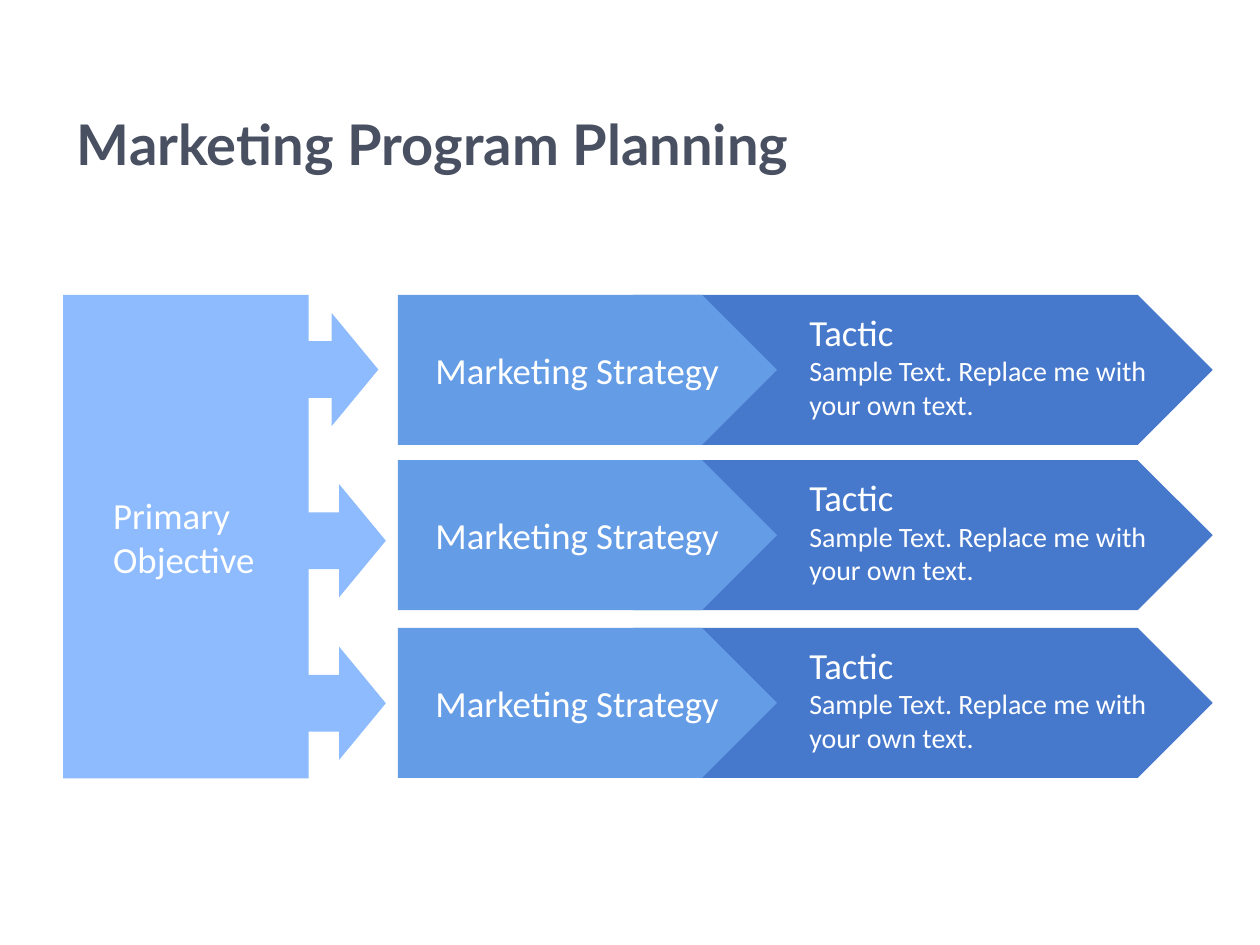
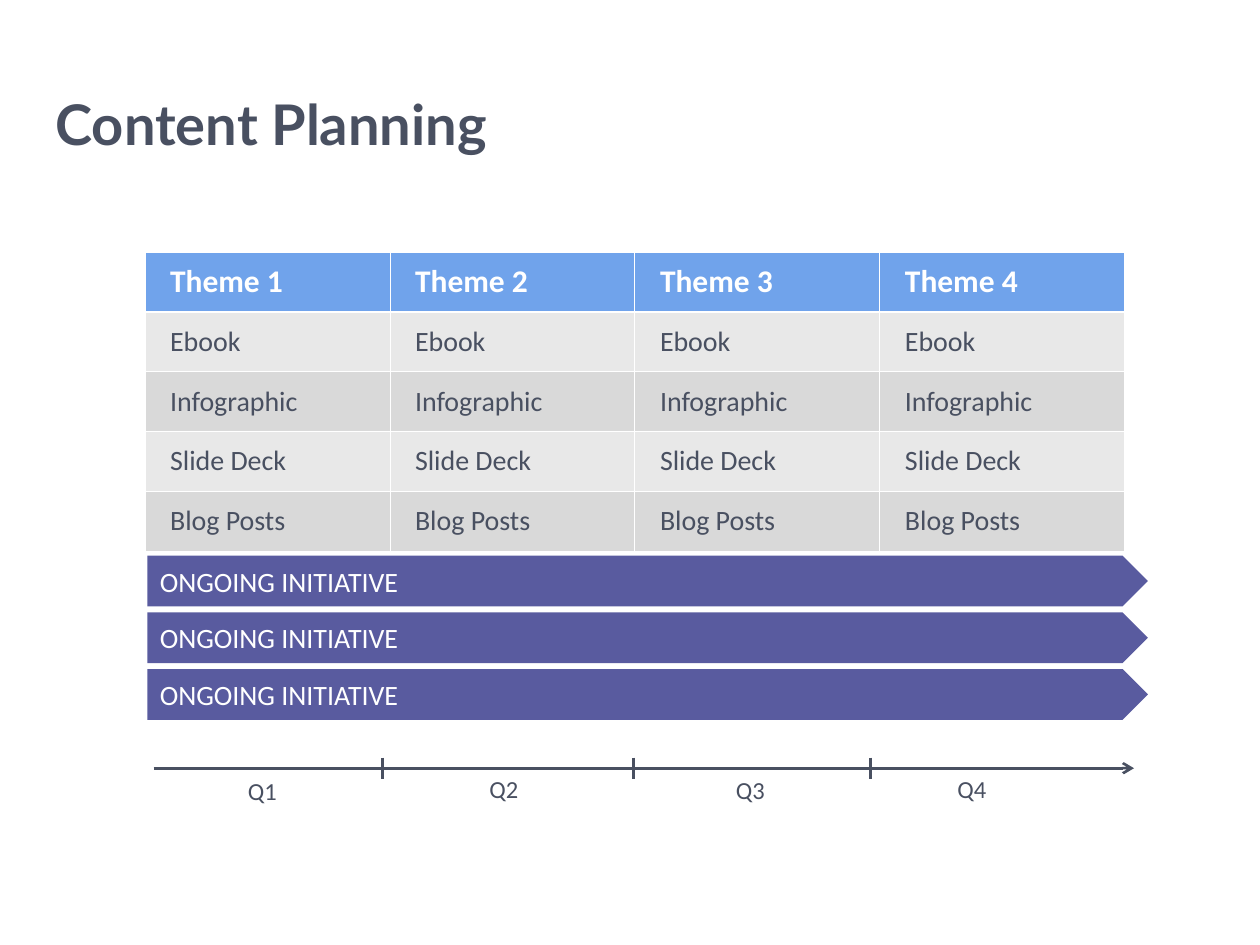
from dataclasses import dataclass
from lxml.etree import SubElement
from pptx import Presentation
from pptx.dml.color import RGBColor
from pptx.enum.shapes import MSO_CONNECTOR, MSO_SHAPE
from pptx.enum.text import MSO_ANCHOR, MSO_AUTO_SIZE, PP_ALIGN
from pptx.oxml.ns import qn
from pptx.util import Pt

OBJECTIVE = "Primary Objective"
PROGRAMS = [
    ("Marketing Strategy", "Tactic", "Sample Text. Replace me with your own text."),
] * 3
PROGRAM_TOPS = [168.5, 263, 358.8]
ARROW_SPOTS = [(162.7, 178.8), (167, 276.6), (167, 369.5)]

THEMES = ["Theme 1", "Theme 2", "Theme 3", "Theme 4"]
CONTENT_TYPES = ["Ebook", "Infographic", "Slide Deck", "Blog Posts"]
INITIATIVES = ["ONGOING INITIATIVE"] * 3
QUARTERS = [("Q1", 134.6, 440), ("Q2", 272.6, 438.5), ("Q3", 413.4, 439.5), ("Q4", 540, 438.5)]
QUARTER_ENDS = [218.5, 362, 497.5]


@dataclass(frozen=True)
class Theme:
    white: str = "FFFFFF"
    ink: str = "495061"
    objective: str = "8DBBFE"
    strategy: str = "649CE6"
    tactic: str = "4678CC"
    header: str = "70A3EB"
    bands: tuple = ("E8E8E8", "D9D9D9")
    initiative: str = "595B9F"
    title_font: str = "Lato"
    body_font: str = "Calibri"
    title_size: int = 32
    heading_size: int = 21
    column_size: int = 18
    body_size: int = 16
    quarter_size: int = 14


T = Theme()


def rgb(color):
    return RGBColor.from_string(color)


def style(p, size, color=T.white, font=T.body_font, bold=False, indent=0):
    p.alignment = PP_ALIGN.LEFT
    if indent:
        p._p.get_or_add_pPr().set("marL", str(Pt(indent)))
    p.font.name, p.font.size, p.font.bold = font, Pt(size), bold
    p.font.color.rgb = rgb(color)


def add_slide(prs, title, left, top):
    s = prs.slides.add_slide(prs.slide_layouts[5])
    sp = s.shapes.title
    sp.left, sp.top, sp.width, sp.height = Pt(left), Pt(top), Pt(678), Pt(54)
    tf = sp.text_frame
    tf.text = title
    tf.vertical_anchor = MSO_ANCHOR.TOP
    tf.auto_size = MSO_AUTO_SIZE.NONE
    style(tf.paragraphs[0], T.title_size, T.ink, T.title_font, True)
    return s


def add_block(s, kind, left, top, width, height, color, lines=(), indent=0,
              anchor=MSO_ANCHOR.MIDDLE):
    sp = s.shapes.add_shape(kind, Pt(left), Pt(top), Pt(width), Pt(height))
    sp.shadow.inherit = False
    sp.fill.solid()
    sp.fill.fore_color.rgb = rgb(color)
    sp.line.fill.background()
    tf = sp.text_frame
    tf.word_wrap = True
    tf.vertical_anchor = anchor
    for i, (text, size) in enumerate(lines):
        p = tf.add_paragraph() if i else tf.paragraphs[0]
        p.text = text
        style(p, size, indent=indent)
    return sp


def add_line(s, x1, y1, x2, y2, arrow=False):
    line = s.shapes.add_connector(MSO_CONNECTOR.STRAIGHT, Pt(x1), Pt(y1), Pt(x2), Pt(y2))
    line.line.color.rgb = rgb(T.ink)
    line.line.width = Pt(1.5)
    if arrow:
        SubElement(line.line._get_or_add_ln(), qn("a:tailEnd"), type="arrow")
    SubElement(line._element.spPr, qn("a:effectLst"))


def set_borders(cell, **widths):
    tcPr = cell._tc.get_or_add_tcPr()
    for i, side in enumerate("LRTB"):
        ln = SubElement(tcPr, qn(f"a:ln{side}"), w=str(Pt(widths.get(side, 0.45))))
        fill = SubElement(ln, qn("a:solidFill"))
        SubElement(fill, qn("a:srgbClr"), val=T.white)
        tcPr.insert(i, ln)


def build_program(prs):
    s = add_slide(prs, "Marketing Program Planning", 36.7, 59)
    left, height = 227.3, 85.7
    for (_, tactic, detail), top in zip(PROGRAMS, PROGRAM_TOPS):
        sp = add_block(s, MSO_SHAPE.PENTAGON, left + 134.5, top, 331.2, height, T.tactic,
                       [(tactic, T.heading_size), (detail, T.body_size)], 93.6, MSO_ANCHOR.TOP)
        sp.text_frame.paragraphs[0].line_spacing = 1.2
    for (strategy, _, _), top in zip(PROGRAMS, PROGRAM_TOPS):
        add_block(s, MSO_SHAPE.PENTAGON, left, top, 216.7, height, T.strategy,
                  [(strategy, T.heading_size)], 14.4)
    add_block(s, MSO_SHAPE.RECTANGLE, 36, PROGRAM_TOPS[0], 140.4, 276.3, T.objective,
              [(OBJECTIVE, T.heading_size)], 21.6)
    for x, y in ARROW_SPOTS:
        add_block(s, MSO_SHAPE.RIGHT_ARROW, x, y, 53.5, 64.8, T.objective)


def build_content(prs):
    s = add_slide(prs, "Content Planning", 24.5, 47.5)
    rows = [THEMES] + [[kind] * len(THEMES) for kind in CONTENT_TYPES]
    col_width, row_height = 140, 34.2
    table = s.shapes.add_table(len(rows), len(THEMES), Pt(82.8), Pt(144),
                               Pt(col_width * len(THEMES)), Pt(row_height * len(rows))).table
    for r, texts in enumerate(rows):
        table.rows[r].height = Pt(row_height)
        for c, text in enumerate(texts):
            cell = table.cell(r, c)
            cell.text = text
            cell.vertical_anchor = MSO_ANCHOR.MIDDLE
            cell.fill.solid()
            cell.fill.fore_color.rgb = rgb(T.bands[(r - 1) % 2] if r else T.header)
            set_borders(cell, **({0: {"B": 1.47}, 1: {"T": 1.47}}.get(r, {})))
            size, color = (T.body_size, T.ink) if r else (T.column_size, T.white)
            style(cell.text_frame.paragraphs[0], size, color, bold=r == 0, indent=7.2)
    for i, text in enumerate(INITIATIVES):
        add_block(s, MSO_SHAPE.PENTAGON, 84.3, 317.5 + 32.4 * i, 571.7, 29, T.initiative,
                  [(text, T.body_size)])
    axis = 439
    add_line(s, 87.8, axis, 648, axis, arrow=True)
    for x in QUARTER_ENDS:
        add_line(s, x, axis - 6, x, axis + 6)
    for name, x, y in QUARTERS:
        tf = s.shapes.add_textbox(Pt(x), Pt(y), Pt(31), Pt(24.5)).text_frame
        tf.word_wrap = False
        tf.text = name
        style(tf.paragraphs[0], T.quarter_size, T.ink)


def main():
    prs = Presentation()
    prs.slide_width, prs.slide_height = Pt(720), Pt(540)
    build_program(prs)
    build_content(prs)
    prs.save("out.pptx")


if __name__ == "__main__":
    main()
